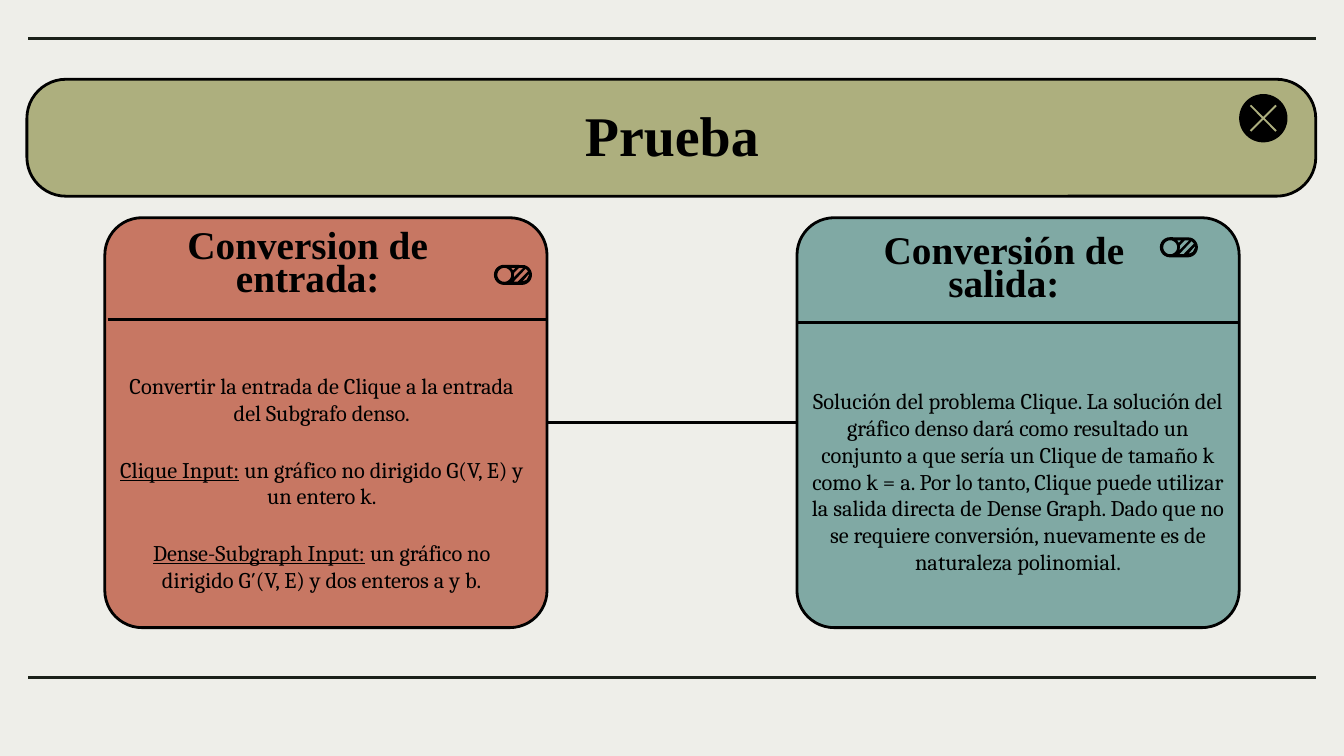
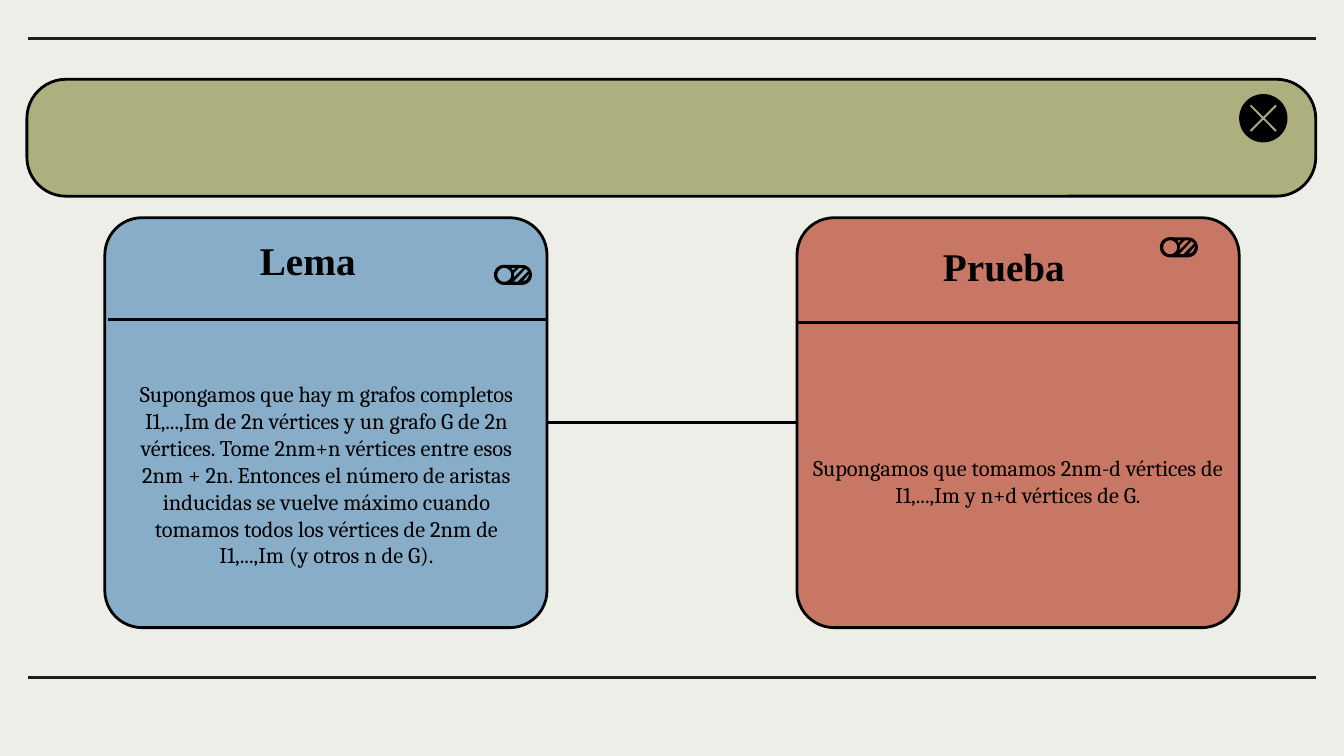
from dataclasses import dataclass
from math import cos, pi, sin

from lxml.etree import SubElement
from pptx import Presentation
from pptx.dml.color import RGBColor as RGB
from pptx.enum.shapes import MSO_CONNECTOR as LINK, MSO_SHAPE as SHAPE
from pptx.enum.text import MSO_ANCHOR as ANCHOR, PP_ALIGN as ALIGN
from pptx.oxml.ns import qn
from pptx.util import Inches, Pt


@dataclass(frozen=True)
class Theme:
    paper: RGB = RGB.from_string("EEEEE9")
    olive: RGB = RGB.from_string("ADAF7E")
    coral: RGB = RGB.from_string("C77763")
    teal: RGB = RGB.from_string("80A9A4")
    blue: RGB = RGB.from_string("88ADC8")
    ink: RGB = RGB.from_string("000000")
    rule: RGB = RGB.from_string("1B2119")
    heading_font: str = "Times New Roman"
    body_font: str = "Cambria"
    title_size: Pt = Pt(30)
    heading_size: Pt = Pt(21)
    body_size: Pt = Pt(12)
    gap: Pt = Pt(16)
    stroke: Pt = Pt(1.5)


theme = Theme()

# Grid of square cells: 100 columns by 56.25 rows
cell = Inches(0.1)
columns, rows = 100, 56.25
card_left, card_top, card_width, card_height = 7.8, 16.2, 32.9, 30.5
card_lefts = (card_left, columns - card_left - card_width)


def write(slide, area, paragraphs, size, heading=False, insets=(1, 1)):
    """Centred text; in a paragraph, every piece before the last is underlined."""
    box = slide.shapes.add_textbox(*(round(n * cell) for n in area))
    frame = box.text_frame
    frame.word_wrap = True
    frame.vertical_anchor = ANCHOR.MIDDLE
    frame.margin_left = frame.margin_right = cell
    frame.margin_top, frame.margin_bottom = (round(n * cell) for n in insets)
    for index, pieces in enumerate(paragraphs):
        paragraph = frame.add_paragraph() if index else frame.paragraphs[0]
        paragraph.text = pieces[0]
        for piece in pieces[1:]:
            paragraph.add_run().text = piece
        paragraph.alignment = ALIGN.CENTER
        if heading:
            paragraph.line_spacing = 0.7
        if index:
            paragraph.space_before = theme.gap
        for number, run in enumerate(paragraph.runs, 1):
            run.font.name = theme.heading_font if heading else theme.body_font
            run.font.size = size
            run.font.bold = heading
            run.font.underline = number < len(pieces)
            run.font.color.rgb = theme.ink


def cut_out(slide, left, top, contours, color):
    """Filled outline; contours after the first are holes."""
    placed = [[((left + x) * cell, (top + y) * cell) for x, y in points] for points in contours]
    builder = slide.shapes.build_freeform(*placed[0][0], scale=1.0)
    for index, points in enumerate(placed):
        if index:
            builder.move_to(*points[0])
        builder.add_line_segments(points[1:], close=True)
    icon = builder.convert_to_shape()
    icon.shadow.inherit = False
    icon.fill.solid()
    icon.fill.fore_color.rgb = color
    icon.line.fill.background()


# Icon outlines, in cells
steps = 12
turn = [pi / 2 + pi * n / steps for n in range(2 * steps + 1)]
capsule = [((0.75 if n <= steps else 2.08) + 0.75 * cos(a), 0.75 + 0.75 * sin(a))
           for n, a in enumerate(turn)]
knob = [(0.77 + 0.52 * cos(a), 0.75 + 0.52 * sin(a)) for a in turn[:-1]]
stripes = [
    [(1.6, 0.24), (1.42, 0.42), (1.28, 0.24)],
    [(2.18, 0.24), (1.47, 0.95), (1.5, 0.6), (1.85, 0.24)],
    [(2.35, 0.3), (2.55, 0.48), (1.77, 1.26), (1.45, 1.26)],
    [(2.6, 0.68), (2.6, 0.8), (2.45, 1.1), (2.1, 1.26)],
]
toggle = [capsule, knob, *stripes]
cross = []
arm = [(-0.9, -1), (-1, -0.9), (-0.1, 0)]
for quarter in range(4):
    cross += arm
    arm = [(y, -x) for x, y in arm]

# Content: title, then per card: colour, heading, body area, insets, paragraphs
left_body = (7.8, 25.8, 32.3, 20.2)
right_body = (card_lefts[1], 26.6, card_width, 18.4)
contents = [
    ("Prueba", [
        (theme.coral, "Conversion de entrada:", left_body, (1, 1), [
            ("Convertir la entrada de Clique a la entrada del Subgrafo denso.",),
            ("Clique Input:", " un gráfico no dirigido G(V, E) y un entero k."),
            ("Dense-Subgraph Input:",
             " un gráfico no dirigido G′(V, E) y dos enteros a y b."),
        ]),
        (theme.teal, "Conversión de salida:", right_body, (1, 1), [
            ("Solución del problema Clique. La solución del gráfico denso dará como "
             "resultado un conjunto a que sería un Clique de tamaño k como k = a. Por lo "
             "tanto, Clique puede utilizar la salida directa de Dense Graph. Dado que no "
             "se requiere conversión, nuevamente es de naturaleza polinomial.",),
        ]),
    ]),
    (None, [
        (theme.blue, "Lema", (8.3, 28.2, 32, 18.4), (0, 4.2), [
            ("Supongamos que hay m grafos completos I1,...,Im de 2n vértices y un grafo G "
             "de 2n vértices. Tome 2nm+n vértices entre esos 2nm + 2n. Entonces el número "
             "de aristas inducidas se vuelve máximo cuando tomamos todos los vértices de "
             "2nm de I1,...,Im (y otros n de G).",),
        ]),
        (theme.coral, "Prueba", right_body, (1, 1), [
            ("Supongamos que tomamos 2nm-d vértices de I1,...,Im y n+d vértices de G.",),
        ]),
    ]),
]
heading_areas = ((9.7, 17, 26.4, 5.6), (63.1, 16.2, 23.2, 8))
toggle_corners = ((36.75, 19.7), (86.3, 17.65))

deck = Presentation()
deck.slide_width, deck.slide_height = round(columns * cell), round(rows * cell)

for title, cards in contents:
    slide = deck.slides.add_slide(deck.slide_layouts[6])
    slide.background.fill.solid()
    slide.background.fill.fore_color.rgb = theme.paper

    # Title band, cards and close button
    panels = [(SHAPE.ROUNDED_RECTANGLE, (2, 5.9, 95.9, 8.7), 0.334, theme.olive)]
    panels += [(SHAPE.ROUNDED_RECTANGLE, (left, card_top, card_width, card_height), 0.091, card[0])
               for left, card in zip(card_lefts, cards)]
    panels.append((SHAPE.OVAL, (92.2, 7, 3.6, 3.6), None, theme.ink))
    drawn = []
    for kind, area, corner, color in panels:
        panel = slide.shapes.add_shape(kind, *(round(n * cell) for n in area))
        panel.shadow.inherit = False
        panel.fill.solid()
        panel.fill.fore_color.rgb = color
        if corner is None:
            panel.line.fill.background()
        else:
            panel.adjustments[0] = corner
            panel.line.color.rgb = theme.ink
            panel.line.width = theme.stroke
        drawn.append(panel)
    cut_out(slide, 94, 8.8, [cross], theme.olive)

    # Slide rules, card dividers and the link between the cards
    link_row = card_top + card_height / 2
    strokes = [
        (LINK.STRAIGHT, 2.1, 97.95, 2.85, theme.rule),
        (LINK.STRAIGHT, 2.1, 97.95, 50.4, theme.rule),
        (LINK.STRAIGHT, 8, 40.7, 23.8, theme.ink),
        (LINK.STRAIGHT, 59.3, 92.1, 24, theme.ink),
        (LINK.ELBOW, 40.7, 59.3, link_row, theme.ink),
    ]
    for kind, start, end, row, color in strokes:
        stroke = slide.shapes.add_connector(
            kind, *(round(n * cell) for n in (start, row, end, row)))
        stroke.line.color.rgb = color
        stroke.line.width = theme.stroke
        SubElement(stroke._element.spPr, qn("a:effectLst"))
        if kind == LINK.ELBOW:
            stroke.begin_connect(drawn[1], 3)
            stroke.end_connect(drawn[2], 1)

    # Texts and toggles
    if title:
        write(slide, (7.8, 7.5, 84.4, 6.2), [(title,)], theme.title_size, heading=True)
    for card, heading_area, corner in zip(cards, heading_areas, toggle_corners):
        color, heading, body_area, insets, paragraphs = card
        write(slide, heading_area, [(heading,)], theme.heading_size, heading=True)
        write(slide, body_area, paragraphs, theme.body_size, insets=insets)
        cut_out(slide, *corner, toggle, theme.ink)

deck.save("out.pptx")
